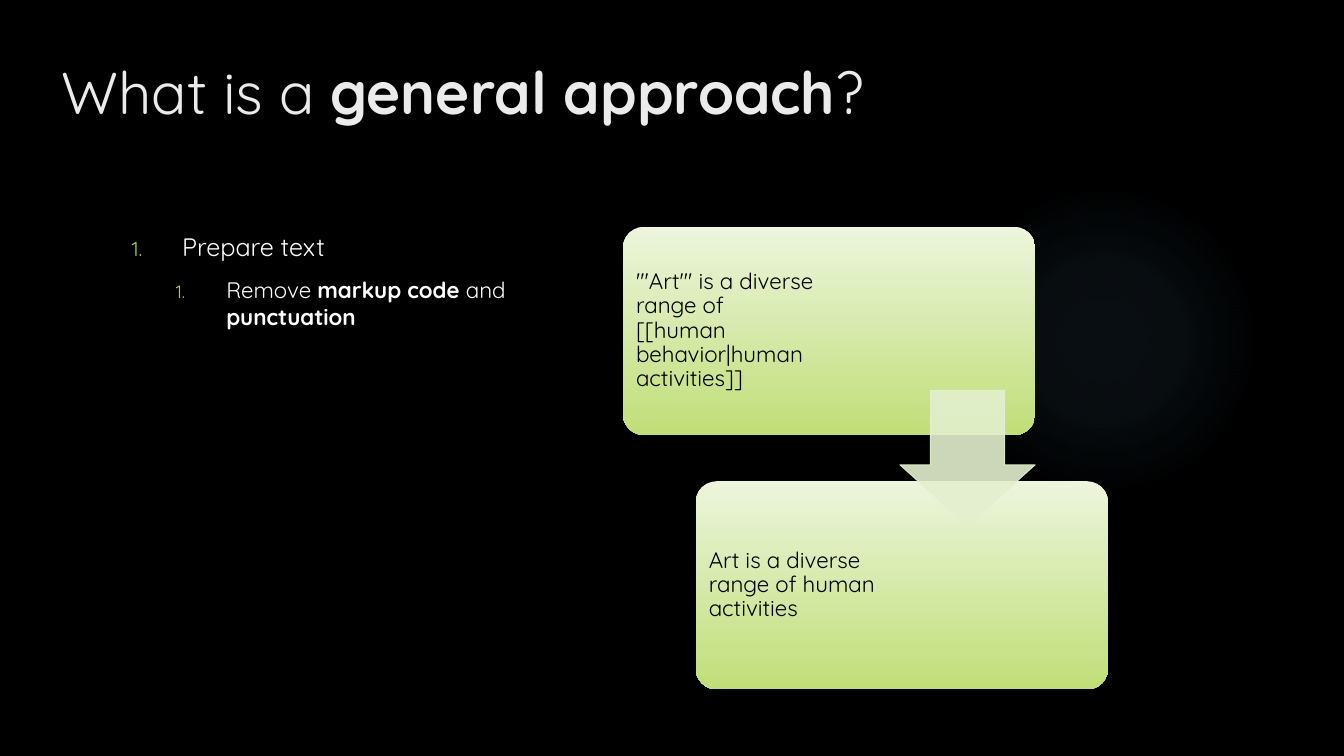
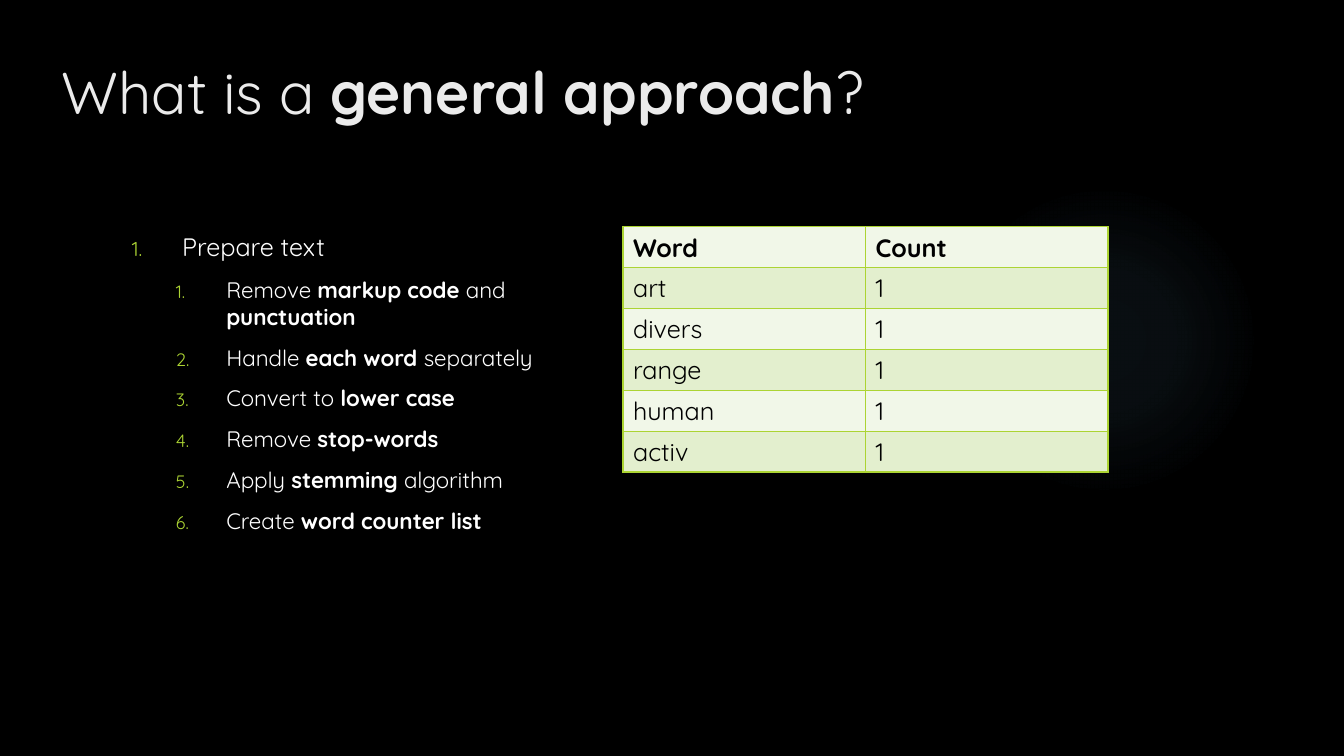
import dataclasses

import lxml.etree
import pptx
import pptx.dml.color
import pptx.enum.shapes
import pptx.enum.text
import pptx.oxml
import pptx.oxml.ns
import pptx.util

Pt = pptx.util.Pt
qn = pptx.oxml.ns.qn
ShapeKind = pptx.enum.shapes.MSO_SHAPE
Anchor = pptx.enum.text.MSO_ANCHOR


@dataclasses.dataclass(frozen=True)
class Theme:
    font: str = "Quicksand"
    background: str = "000000"
    glow: str = "7AC4F0"
    title: str = "EBEBEB"
    body: str = "FFFFFF"
    dark_text: str = "000000"
    accent: str = "ACD433"
    card_top: str = "EDF5DD"
    card_bottom: str = "C0DE78"
    row_light: str = "F1F7E8"
    row_tinted: str = "E3EFCE"
    title_size: float = 42
    large_size: float = 18
    small_size: float = 16


@dataclasses.dataclass(frozen=True)
class Box:
    left: float
    top: float
    width: float
    height: float

    def lengths(self):
        return Pt(self.left), Pt(self.top), Pt(self.width), Pt(self.height)


THEME = Theme()
GLOW_BOX = Box(677.5, 131.8, 221.8, 221.8)
TITLE_BOX = Box(36.7, 36, 755.3, 110.2)
LIST_BOX = Box(87.1, 162, 346.4, 330.4)
CONTENT_BOX = Box(445, 162, 346.4, 330.4)

TITLE = ("What is a ", "general approach", "?")
TOPIC = ("Prepare text",)
STEPS = [
    ("Remove ", "markup code ", "and ", "punctuation"),
    ("Handle ", "each word ", "separately"),
    ("Convert to ", "lower case"),
    ("Remove ", "stop-words"),
    ("Apply ", "stemming", " algorithm"),
    ("Create ", "word counter list"),
]
MARKUP_TEXT = "'''Art''' is a diverse range of [[human behavior|human activities]]"
PLAIN_TEXT = "Art is a diverse range of human activities"
WORD_COUNTS = [
    ("Word", "Count"),
    ("art", "1"),
    ("divers", "1"),
    ("range", "1"),
    ("human", "1"),
    ("activ", "1"),
]


def rgb(color):
    return pptx.dml.color.RGBColor.from_string(color)


def add_runs(paragraph, parts, size, color):
    """Add the parts as runs, plain and bold in turn."""
    for index, text in enumerate(parts):
        run = paragraph.add_run()
        run.text = text
        run.font.name = THEME.font
        run.font.size = Pt(size)
        run.font.bold = index % 2 == 1
        run.font.color.rgb = rgb(color)


def set_alpha(color_parent, percent):
    for color in color_parent.iter(qn("a:srgbClr")):
        lxml.etree.SubElement(color, qn("a:alpha")).set("val", str(percent * 1000))


def add_plain_shape(slide, kind, box):
    shape = slide.shapes.add_shape(kind, *box.lengths())
    shape.shadow.inherit = False
    shape.line.fill.background()
    return shape


def glow_fill():
    stops = "".join(
        f'<a:gs pos="{position * 1000}"><a:srgbClr val="{THEME.glow}">'
        f'<a:alpha val="{alpha * 1000}"/></a:srgbClr></a:gs>'
        for position, alpha in ((0, 7), (36, 6), (69, 0))
    )
    return pptx.oxml.parse_xml(
        f'<a:gradFill {pptx.oxml.ns.nsdecls("a")} rotWithShape="1">'
        f"<a:gsLst>{stops}</a:gsLst>"
        '<a:path path="circle"><a:fillToRect l="50000" t="50000" r="50000" b="50000"/>'
        "</a:path></a:gradFill>"
    )


def add_glow(slide):
    """Put the glow on the slide's layout, where every slide shows it."""
    glow = add_plain_shape(slide, ShapeKind.OVAL, GLOW_BOX)
    glow.fill.solid()
    properties = glow.element.spPr
    properties.replace(properties.find(qn("a:solidFill")), glow_fill())
    glow.element.nvSpPr.cNvPr.set("id", "20")
    slide.slide_layout.shapes.element.append(glow.element)


def set_background(master):
    master.background.fill.solid()
    master.background.fill.fore_color.rgb = rgb(THEME.background)


def fill_title(slide):
    title = slide.shapes.title
    title.left, title.top, title.width, title.height = TITLE_BOX.lengths()
    frame = title.text_frame
    frame.word_wrap = True
    frame.auto_size = pptx.enum.text.MSO_AUTO_SIZE.NONE
    frame.vertical_anchor = Anchor.TOP
    paragraph = frame.paragraphs[0]
    paragraph.alignment = pptx.enum.text.PP_ALIGN.LEFT
    add_runs(paragraph, TITLE, THEME.title_size, THEME.title)


def set_numbering(paragraph, margin):
    properties = paragraph._p.get_or_add_pPr()
    properties.set("marL", str(Pt(margin)))
    properties.set("indent", str(Pt(-36)))
    color = lxml.etree.SubElement(properties, qn("a:buClr"))
    lxml.etree.SubElement(color, qn("a:srgbClr")).set("val", THEME.accent)
    lxml.etree.SubElement(properties, qn("a:buSzPct")).set("val", "80000")
    lxml.etree.SubElement(properties, qn("a:buFont")).set("typeface", THEME.font)
    lxml.etree.SubElement(properties, qn("a:buAutoNum")).set("type", "arabicPeriod")


def add_numbered_list(slide, box, steps):
    frame = slide.shapes.add_textbox(*box.lengths()).text_frame
    frame.word_wrap = True
    for index, parts in enumerate([TOPIC, *steps]):
        paragraph = frame.add_paragraph() if index else frame.paragraphs[0]
        paragraph.level = 1 if index else 0
        paragraph.space_before = Pt(10)
        set_numbering(paragraph, 67.5 if index else 36)
        size = THEME.small_size if index else THEME.large_size
        add_runs(paragraph, parts, size, THEME.body)


def add_card(slide, box, text):
    card = add_plain_shape(slide, ShapeKind.ROUNDED_RECTANGLE, box)
    card.adjustments[0] = 0.1
    card.fill.gradient()
    card.fill.gradient_angle = 270
    stop_colors = (THEME.card_top, THEME.card_bottom)
    for stop, color in zip(card.fill.gradient_stops, stop_colors):
        stop.color.rgb = rgb(color)
    frame = card.text_frame
    frame.word_wrap = True
    frame.vertical_anchor = Anchor.MIDDLE
    frame.margin_left = frame.margin_top = frame.margin_bottom = Pt(5)
    frame.margin_right = Pt(box.width * 0.51)
    paragraph = frame.paragraphs[0]
    paragraph.alignment = pptx.enum.text.PP_ALIGN.LEFT
    paragraph.line_spacing = 0.9
    add_runs(paragraph, [text], THEME.small_size, THEME.dark_text)


def add_arrow(slide, box):
    arrow = add_plain_shape(slide, ShapeKind.DOWN_ARROW, box)
    arrow.adjustments[0] = 0.55
    arrow.adjustments[1] = 0.45
    for fill in (arrow.fill, arrow.line.fill):
        fill.solid()
        fill.fore_color.rgb = rgb(THEME.row_tinted)
    arrow.line.width = Pt(0.75)
    set_alpha(arrow.element.spPr, 90)


def add_step_diagram(slide, box, texts):
    """Place two cards in opposite corners of the box, joined by an arrow."""
    width, height = box.width * 0.85, box.height * 0.45
    for index, text in enumerate(texts):
        left = box.left + index * (box.width - width)
        top = box.top + index * (box.height - height)
        add_card(slide, Box(left, top, width, height), text)
    side = height * 0.65
    middle = box.top + box.height / 2
    add_arrow(slide, Box(box.left + width - side, middle - side / 2, side, side))


def set_cell_borders(cell):
    properties = cell._tc.get_or_add_tcPr()
    for index, edge in enumerate(("a:lnL", "a:lnR", "a:lnT", "a:lnB")):
        line = lxml.etree.Element(qn(edge), w=str(Pt(1)))
        fill = lxml.etree.SubElement(line, qn("a:solidFill"))
        lxml.etree.SubElement(fill, qn("a:srgbClr")).set("val", THEME.accent)
        properties.insert(index, line)


def add_count_table(slide, box, rows):
    frame = slide.shapes.add_table(len(rows), len(rows[0]), *box.lengths())
    table = frame.table
    table.horz_banding = False
    for row_index, texts in enumerate(rows):
        for column_index, text in enumerate(texts):
            cell = table.cell(row_index, column_index)
            cell.fill.solid()
            row_color = THEME.row_tinted if row_index % 2 else THEME.row_light
            cell.fill.fore_color.rgb = rgb(row_color)
            set_cell_borders(cell)
            paragraph = cell.text_frame.paragraphs[0]
            add_runs(paragraph, [text], THEME.large_size, THEME.dark_text)
            paragraph.runs[0].font.bold = row_index == 0


def add_approach_slide(presentation, steps):
    slide = presentation.slides.add_slide(presentation.slide_layouts[5])
    fill_title(slide)
    add_numbered_list(slide, LIST_BOX, steps)
    return slide


def main():
    presentation = pptx.Presentation()
    presentation.slide_width = Pt(960)
    presentation.slide_height = Pt(540)
    set_background(presentation.slide_master)

    markup_slide = add_approach_slide(presentation, STEPS[:1])
    add_glow(markup_slide)
    add_step_diagram(markup_slide, CONTENT_BOX, [MARKUP_TEXT, PLAIN_TEXT])

    count_slide = add_approach_slide(presentation, STEPS)
    table_box = dataclasses.replace(CONTENT_BOX, height=175.2)
    add_count_table(count_slide, table_box, WORD_COUNTS)

    presentation.save("out.pptx")


if __name__ == "__main__":
    main()
